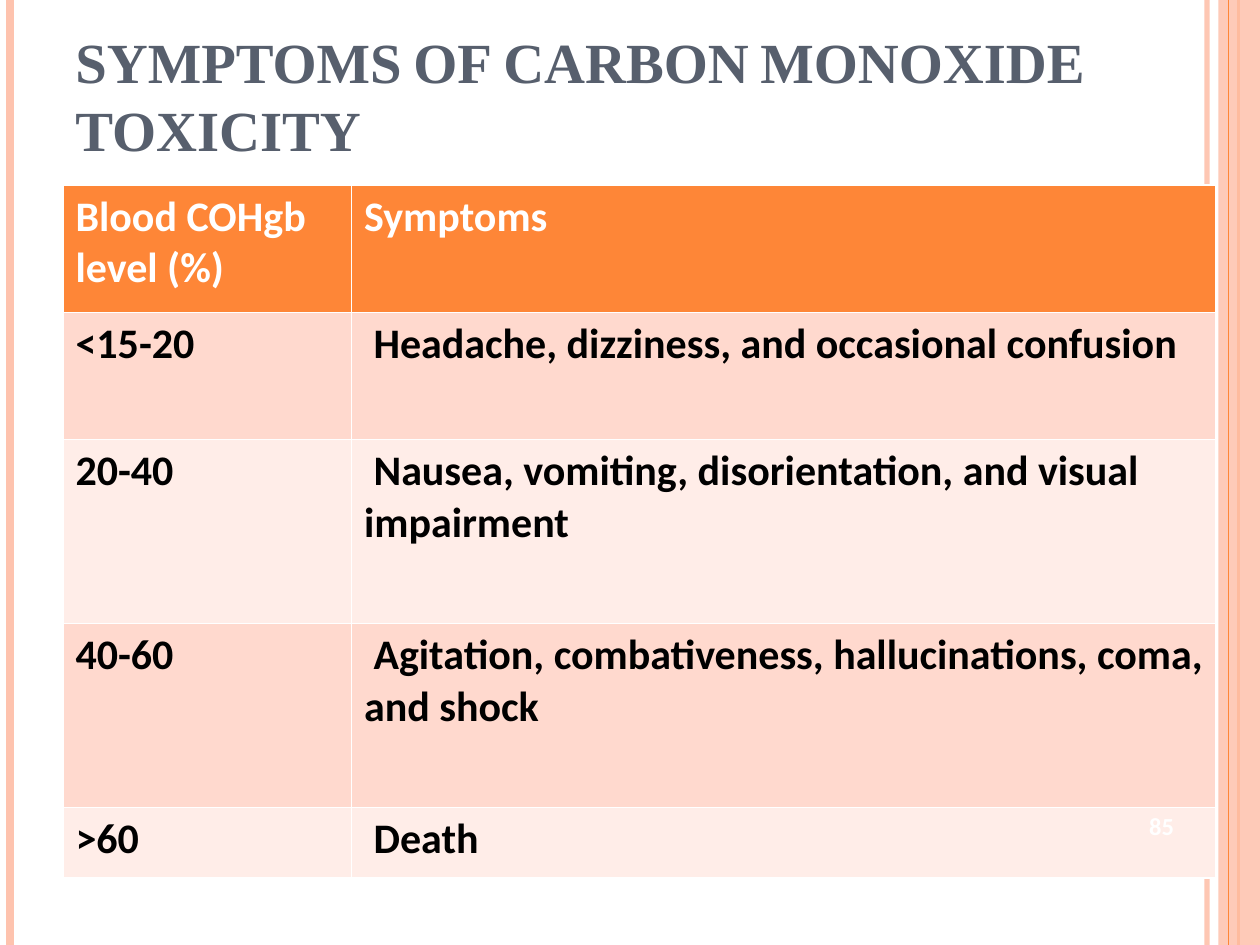
"""Build a slide with a table of carbon monoxide toxicity symptoms by blood level."""
import dataclasses

import lxml.etree
import pptx
import pptx.dml.color
import pptx.enum.shapes
import pptx.enum.text
import pptx.oxml
import pptx.oxml.ns
import pptx.util

Inches = pptx.util.Inches
qn = pptx.oxml.ns.qn


@dataclasses.dataclass(frozen=True)
class Theme:
    orange: str = "FE8637"
    peach: str = "FEC3AE"
    slate: str = "575F6D"
    white: str = "FFFFFF"
    black: str = "000000"
    bands: tuple = ("FFD9CE", "FFEDE8")
    title_font: str = "Times New Roman"
    body_font: str = "Calibri"
    title_size: float = 32.4
    body_size: float = 24
    number_size: float = 14


theme = Theme()


def write(frame, text, *, size, color, font=theme.body_font, small_caps=False,
          align=None, anchor=pptx.enum.text.MSO_ANCHOR.TOP):
    frame.word_wrap = True
    frame.vertical_anchor = anchor
    for index, line in enumerate(text.split("\n")):
        para = frame.add_paragraph() if index else frame.paragraphs[0]
        para.alignment = align
        span = para.add_run()
        span.text = line
        span.font.name = font
        span.font.size = pptx.util.Pt(size)
        span.font.bold = True
        span.font.color.rgb = pptx.dml.color.RGBColor.from_string(color)
        if small_caps:
            span.font._element.set("cap", "small")


def paint(fill, color, opacity=100):
    fill.solid()
    fill.fore_color.rgb = pptx.dml.color.RGBColor.from_string(color)
    if opacity < 100:
        tint = next(fill._xPr.iter(qn("a:srgbClr")))
        lxml.etree.SubElement(tint, qn("a:alpha")).set("val", str(opacity * 1000))


deck = pptx.Presentation()
deck.slide_width = Inches(10)
deck.slide_height = Inches(7.5)
page = deck.slides.add_slide(deck.slide_layouts[6])

stripes = [
    (9.58, theme.peach, 3, 93),
    (0.08, theme.peach, 4.5, 100),
    (9.83, theme.orange, 1.5, 100),
    (9.75, theme.orange, 0.75, 100),
]
for left, color, width, opacity in stripes:
    if left == 9.75:
        band = page.shapes.add_shape(
            pptx.enum.shapes.MSO_SHAPE.RECTANGLE,
            Inches(9.67), 0, Inches(0.33), deck.slide_height)
        band.shadow.inherit = False
        band.line.fill.background()
        paint(band.fill, theme.peach, 87)
    stripe = page.shapes.add_connector(
        pptx.enum.shapes.MSO_CONNECTOR.STRAIGHT,
        Inches(left), 0, Inches(left), deck.slide_height)
    stripe.line.width = pptx.util.Pt(width)
    paint(stripe.line.fill, color, opacity)
    lxml.etree.SubElement(stripe._element.spPr, qn("a:effectLst"))

title_box = page.shapes.add_textbox(Inches(0.5), Inches(0.17), Inches(9.3), Inches(1.17))
write(title_box.text_frame, "SYMPTOMS OF CARBON MONOXIDE TOXICITY",
      size=theme.title_size, color=theme.slate, font=theme.title_font,
      small_caps=True, anchor=pptx.enum.text.MSO_ANCHOR.BOTTOM)

rows = [
    (1.01, "Blood COHgb level (%)", "Symptoms"),
    (1.01, "<15-20", " Headache, dizziness, and occasional confusion"),
    (1.46, "20-40", " Nausea, vomiting, disorientation, and visual\nimpairment"),
    (1.46, "40-60", " Agitation, combativeness, hallucinations, coma,\nand shock"),
    (0.56, ">60", " Death"),
]
table = page.shapes.add_table(
    len(rows), 2, Inches(0.5), Inches(1.47), Inches(9.15), Inches(5.5)).table
for column, width in zip(table.columns, (2.29, 6.86)):
    column.width = Inches(width)
for row_index, (height, *texts) in enumerate(rows):
    table.rows[row_index].height = Inches(height)
    header = row_index == 0
    for column_index, text in enumerate(texts):
        cell = table.cell(row_index, column_index)
        write(cell.text_frame, text, size=theme.body_size,
              color=theme.white if header else theme.black)
        properties = cell._tc.get_or_add_tcPr()
        for side in ("lnL", "lnR", "lnT", "lnB"):
            border = lxml.etree.SubElement(
                properties, qn(f"a:{side}"), w=str(pptx.util.Pt(1)))
            solid = lxml.etree.SubElement(border, qn("a:solidFill"))
            lxml.etree.SubElement(solid, qn("a:srgbClr"), val=theme.white)
        paint(cell.fill, theme.orange if header else theme.bands[(row_index - 1) % 2])

number_box = page.shapes.add_textbox(Inches(8.92), Inches(6.25), Inches(0.6), Inches(0.6))
write(number_box.text_frame, "85", size=theme.number_size, color=theme.white,
      align=pptx.enum.text.PP_ALIGN.CENTER, anchor=pptx.enum.text.MSO_ANCHOR.MIDDLE)

deck.save("out.pptx")
